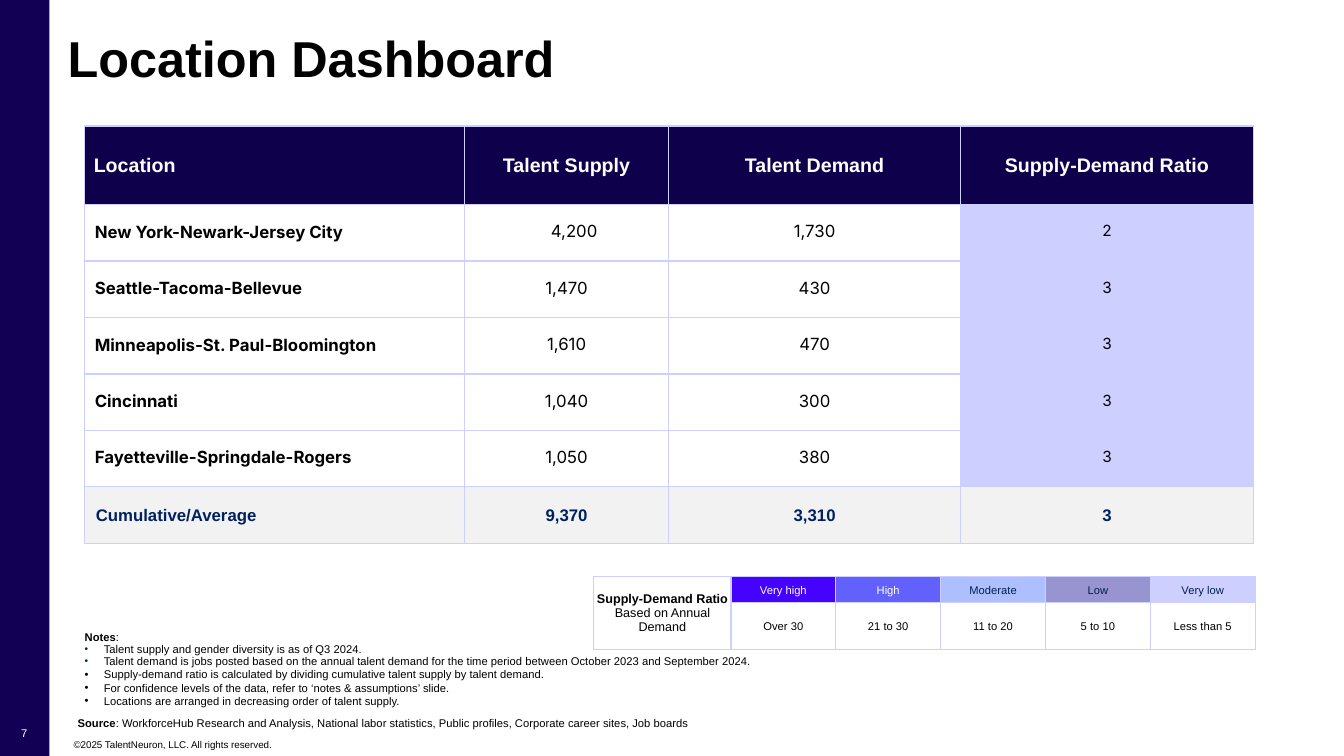
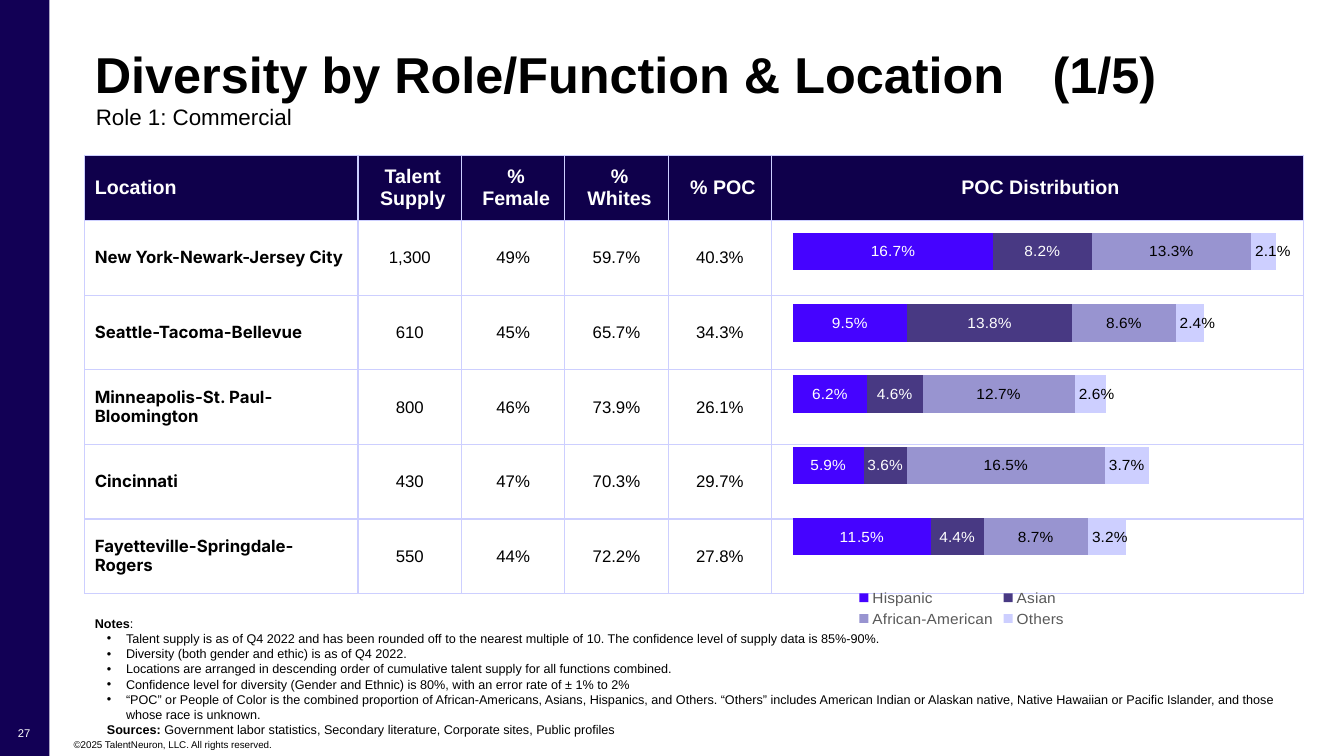
from lxml import etree
from pptx import Presentation
from pptx.chart.data import CategoryChartData
from pptx.dml.color import RGBColor
from pptx.enum.chart import XL_CHART_TYPE, XL_LABEL_POSITION, XL_LEGEND_POSITION
from pptx.enum.shapes import MSO_SHAPE
from pptx.enum.text import MSO_ANCHOR, MSO_AUTO_SIZE, PP_ALIGN
from pptx.oxml.ns import qn
from pptx.util import Emu, Pt

# Shared look
PX = 9144  # 100 px to the inch
BAND, HEADER, GRID = "120055", "0F004B", "CDCFFF"
BLACK, WHITE, NAVY, GREY = "000000", "FFFFFF", "002060", "F2F2F2"
VIVID, LILAC, PLUM = "4503FF", "9894D0", "483983"
LEFT, CENTER, TOP, MIDDLE = PP_ALIGN.LEFT, PP_ALIGN.CENTER, MSO_ANCHOR.TOP, MSO_ANCHOR.MIDDLE
TIGHT, NORMAL = (1, 1, 1, 0), (10, 5, 10, 5)
CITIES = ["New York-Newark-Jersey City", "Seattle-Tacoma-Bellevue",
          "Minneapolis-St. Paul-Bloomington", "Cincinnati",
          "Fayetteville-Springdale-Rogers"]


def px(n):
    return Emu(n * PX)


def rgb(value):
    return RGBColor.from_string(value)


def set_font(font, size, color=BLACK, bold=False, name="Arial"):
    font.name, font.size, font.bold = name, Pt(size), bold
    font.color.rgb = rgb(color)


def sub(parent, tag, **attrs):
    return etree.SubElement(parent, qn(tag), {k: str(v) for k, v in attrs.items()})


# Text
def set_frame(tf, margins=(0, 0, 0, 0), anchor=TOP):
    tf.word_wrap = True
    tf.auto_size = MSO_AUTO_SIZE.NONE
    tf.vertical_anchor = anchor
    tf.margin_left, tf.margin_top, tf.margin_right, tf.margin_bottom = map(px, margins)


def set_indent(p, left=0, hanging=0, bullet=None, color=None):
    pPr = p._p.get_or_add_pPr()
    pPr.set("marL", str(px(left)))
    pPr.set("indent", str(px(-hanging)))
    if color:
        sub(sub(pPr, "a:buClr"), "a:srgbClr", val=color)
        sub(pPr, "a:buSzPct", val=90000)
    if bullet:
        sub(pPr, "a:buChar", char=bullet)
    else:
        sub(pPr, "a:buNone")


def set_para(p, size, color=BLACK, bold=False, align=LEFT, spacing=1.0):
    p.alignment, p.line_spacing = align, spacing
    p.space_before = p.space_after = Pt(0)
    set_font(p.font, size, color, bold)


def add_label(p, label, rest, size):
    """Write a bold label followed by plain text."""
    set_para(p, size)
    for text, bold in ((label, True), (rest, False)):
        r = p.add_run()
        r.text, r.font.bold = text, bold


def place(shape, box):
    shape.left, shape.top, shape.width, shape.height = map(px, box)


def fill_line(shape, box, text, size, margins=(0, 0, 0, 0), bold=False, right_tab=None):
    """Put one line of text in a placeholder."""
    place(shape, box)
    tf = shape.text_frame
    set_frame(tf, margins, MIDDLE)
    p = tf.paragraphs[0]
    p.text = text
    set_indent(p)
    if right_tab:
        sub(sub(p._p.get_or_add_pPr(), "a:tabLst"), "a:tab", pos=px(right_tab), algn="r")
    set_para(p, size, bold=bold, spacing=0.9)


def add_text(s, box, text, size, color=BLACK, align=LEFT, anchor=TOP):
    tb = s.shapes.add_textbox(*map(px, box))
    set_frame(tb.text_frame, anchor=anchor)
    p = tb.text_frame.paragraphs[0]
    p.text = text
    set_para(p, size, color, align=align)


def fill_notes(shape, box, notes, size, left, margins=(0, 0, 0, 0), accented=0):
    """Write the notes; the first accented ones have small coloured bullets."""
    place(shape, box)
    tf = shape.text_frame
    set_frame(tf, margins)
    set_indent(tf.paragraphs[0])
    add_label(tf.paragraphs[0], "Notes", ":", size)
    for i, note in enumerate(notes):
        p = tf.add_paragraph()
        p.text = note
        accent = i < accented
        set_indent(p, left, 19, "•", "002856" if accent else None)
        set_para(p, size, spacing=0.9 if accent else 1.0)
    return tf


# Tables
def add_grid(s, x, y, cols, rows):
    frame = s.shapes.add_table(len(rows), len(cols), px(x), px(y), px(sum(cols)), px(sum(rows)))
    tbl = frame.table
    tbl.first_row = tbl.horz_banding = False
    for col, width in zip(tbl.columns, cols):
        col.width = px(width)
    for row, height in zip(tbl.rows, rows):
        row.height = px(height)
    return tbl


def set_cell(c, text, size=12, color=BLACK, bold=False, name="Arial", align=CENTER,
             fill=WHITE, margins=TIGHT, spacing=None):
    c.text = text
    c.vertical_anchor = MIDDLE
    c.margin_left, c.margin_top, c.margin_right, c.margin_bottom = map(px, margins)
    tcPr = c._tc.get_or_add_tcPr()
    for side in ("a:lnL", "a:lnR", "a:lnT", "a:lnB"):
        ln = sub(tcPr, side, w=Pt(1))
        sub(sub(ln, "a:solidFill"), "a:srgbClr", val=GRID)
    c.fill.solid()
    c.fill.fore_color.rgb = rgb(fill)
    for p in c.text_frame.paragraphs:
        p.alignment = align
        if spacing:
            p.line_spacing = Pt(spacing)
        set_font(p.font, size, color, bold, name)


def set_city(c, city):
    set_cell(c, city, bold=True, name="Inter", align=LEFT, margins=NORMAL, spacing=13.5)


# Slide frame
def add_base(prs, layout, number):
    s = prs.slides.add_slide(prs.slide_layouts[layout])
    band = s.shapes.add_shape(MSO_SHAPE.RECTANGLE, 0, 0, px(49), px(750))
    band.shadow.inherit = False
    band.fill.solid()
    band.fill.fore_color.rgb = rgb(BAND)
    band.line.fill.background()
    add_text(s, (73, 732, 797, 12), "©2025 TalentNeuron, LLC. All rights reserved.", 7,
             anchor=MSO_ANCHOR.BOTTOM)
    add_text(s, (5, 711, 38, 33), number, 8, WHITE, CENTER, MIDDLE)
    return s


# Location dashboard
def add_supply_table(s):
    heads = ["Location", "Talent Supply", "Talent Demand", "Supply-Demand Ratio"]
    data = [("4,200", "1,730", "2"), ("1,470", "430", "3"), ("1,610", "470", "3"),
            ("1,040", "300", "3"), ("1,050", "380", "3")]
    total = ["Cumulative/Average", "9,370", "3,310", "3"]
    tbl = add_grid(s, 84, 125, [377, 202, 290, 290], [78] + [56] * 6)
    for j, (head, value) in enumerate(zip(heads, total)):
        align = CENTER if j else LEFT
        set_cell(tbl.cell(0, j), head, 14, WHITE, True, align=align, fill=HEADER,
                 margins=TIGHT if j else (9, 1, 1, 0))
        set_cell(tbl.cell(6, j), value, 12, NAVY, True, align=align, fill=GREY,
                 margins=TIGHT if j else (11, 1, 1, 0))
    for i, (city, (supply, demand, ratio)) in enumerate(zip(CITIES, data), 1):
        set_city(tbl.cell(i, 0), city)
        set_cell(tbl.cell(i, 1), supply, name="Inter", spacing=12.8,
                 margins=(25, 5, 10, 5) if i == 1 else NORMAL)
        set_cell(tbl.cell(i, 2), demand, name="Inter", margins=NORMAL, spacing=12.8)
        set_cell(tbl.cell(i, 3), ratio, 11, name="Inter", fill=GRID, margins=NORMAL,
                 spacing=11.2)


def add_ratio_key(s):
    levels = [("Very high", "Over 30", VIVID, WHITE), ("High", "21 to 30", "6361FE", WHITE),
              ("Moderate", "11 to 20", "ADBFFF", "002050"),
              ("Low", "5 to 10", LILAC, "002050"), ("Very low", "Less than 5", GRID, "002050")]
    tbl = add_grid(s, 589, 572, [136] + [104] * 5, [26, 46])
    set_cell(tbl.cell(1, 0), "", 8)
    title = tbl.cell(0, 0)
    title.merge(tbl.cell(1, 0))
    set_cell(title, "Supply-Demand Ratio\nBased on Annual Demand", 9)
    title.text_frame.paragraphs[0].font.bold = True
    for j, (level, span, fill, color) in enumerate(levels, 1):
        set_cell(tbl.cell(0, j), level, 8, color, fill=fill)
        set_cell(tbl.cell(1, j), span, 8)


def build_dashboard(prs):
    s = add_base(prs, 1, "7")
    title, body = s.placeholders
    fill_line(title, (67, 40, 1201, 42), "Location Dashboard", 36, bold=True)
    fill_notes(body, (84, 625, 1195, 85), [
        "Talent supply and gender diversity is as of Q3 2024.",
        "Talent demand is jobs posted based on the annual talent demand for the time period "
        "between October 2023 and September 2024.",
        "Supply-demand ratio is calculated by dividing cumulative talent supply by talent demand.",
        "For confidence levels of the data, refer to ‘notes & assumptions’ slide.",
        "Locations are arranged in decreasing order of talent supply.",
    ], 8, 19, accented=2)
    add_supply_table(s)
    tb = s.shapes.add_textbox(*map(px, (77, 712, 1024, 16)))
    set_frame(tb.text_frame)
    p = tb.text_frame.paragraphs[0]
    add_label(p, "Source", ": WorkforceHub Research and Analysis, National labor statistics, "
              "Public profiles, Corporate career sites, Job boards", 8)
    p.line_spacing = 0.9
    add_ratio_key(s)


# Diversity by role
def add_diversity_table(s):
    heads = ["Location", "Talent Supply", "% Female", "% Whites", "% POC", "POC Distribution"]
    data = [("1,300", "49%", "59.7%", "40.3%"), ("610", "45%", "65.7%", "34.3%"),
            ("800", "46%", "73.9%", "26.1%"), ("430", "47%", "70.3%", "29.7%"),
            ("550", "44%", "72.2%", "27.8%")]
    tbl = add_grid(s, 84, 154, [271, 103, 102, 103, 102, 528], [65] + [74] * 5)
    for j, head in enumerate(heads):
        set_cell(tbl.cell(0, j), head, 14, WHITE, True, align=CENTER if j else LEFT,
                 fill=HEADER, margins=(16 if j else 10, 10, 10, 10))
    for i, (city, values) in enumerate(zip(CITIES, data), 1):
        set_city(tbl.cell(i, 0), city)
        for j, value in enumerate(values + ("",), 1):
            set_cell(tbl.cell(i, j), value, margins=(0, 0, 0, 0))


def set_layout(parent, index, **values):
    """Give a chart part a fixed place, in fractions of the chart."""
    for old in parent.findall(qn("c:layout")):
        parent.remove(old)
    layout = etree.Element(qn("c:layout"))
    manual = sub(layout, "c:manualLayout")
    for tag, value in values.items():
        sub(manual, "c:" + tag, val=value)
    parent.insert(index, layout)


def add_poc_chart(s):
    series = [
        ("Hispanic", (0.115, 0.059, 0.062, 0.095, 0.167), VIVID, WHITE),
        ("Asian", (0.044, 0.036, 0.046, 0.138, 0.082), PLUM, WHITE),
        ("African-American", (0.087, 0.165, 0.127, 0.086, 0.133), LILAC, BLACK),
        ("Others", (0.032, 0.037, 0.026, 0.024, 0.021), GRID, BLACK)]
    cd = CategoryChartData(number_format="0.0%")
    cd.categories = ["1", "2", "3", "4", "5"]
    for name, values, *_ in series:
        cd.add_series(name, values)
    box = map(px, (781, 180, 552, 446))
    chart = s.shapes.add_chart(XL_CHART_TYPE.BAR_STACKED, *box, cd).chart
    set_font(chart.font, 10)
    chart.has_title = False
    chart.category_axis.visible = chart.value_axis.visible = False
    chart.value_axis.has_major_gridlines = False
    chart.value_axis.minimum_scale, chart.value_axis.maximum_scale = 0, 0.45
    plot = chart.plots[0]
    plot.gap_width, plot.overlap, plot.vary_by_categories = 90, 100, False
    for ser, (name, _, fill, color) in zip(plot.series, series):
        ser.format.fill.solid()
        ser.format.fill.fore_color.rgb = rgb(fill)
        labels = ser.data_labels
        labels.show_value = True
        labels.number_format, labels.number_format_is_linked = "0.0%", False
        labels.position = (XL_LABEL_POSITION.INSIDE_BASE if name == "Others"
                           else XL_LABEL_POSITION.CENTER)
        set_font(labels.font, 11, color)
    chart.has_legend = True
    legend = chart.legend
    legend.position, legend.include_in_layout = XL_LEGEND_POSITION.BOTTOM, False
    set_font(legend.font, 11, "595959")
    set_layout(legend._element, 1, xMode="edge", yMode="edge", x=0.12, y=0.94)
    set_layout(chart._chartSpace.chart.plotArea, 0, layoutTarget="inner", xMode="edge",
               yMode="edge", x=0.01, y=0.08, w=0.97, h=0.83)


def build_diversity(prs):
    s = add_base(prs, 3, "27")
    title, role, body = s.placeholders
    fill_line(title, (84, 41, 1219, 71), "Diversity by Role/Function & Location\t(1/5)", 36,
              NORMAL, True, right_tab=1184)
    fill_line(role, (85, 99, 1209, 37), "Role 1: Commercial", 16, NORMAL)
    tf = fill_notes(body, (84, 611, 1209, 121), [
        "Talent supply is as of Q4 2022 and has been rounded off to the nearest multiple of 10. "
        "The confidence level of supply data is 85%-90%.",
        "Diversity (both gender and ethic) is as of Q4 2022.",
        "Locations are arranged in descending order of cumulative talent supply for all "
        "functions combined.",
        "Confidence level for diversity (Gender and Ethnic) is 80%, with an error rate of "
        "± 1% to 2%",
        "“POC” or People of Color is the combined proportion of African-Americans, Asians, "
        "Hispanics, and Others. “Others” includes American Indian or Alaskan native, Native "
        "Hawaiian or Pacific Islander, and those whose race is unknown.",
    ], 9, 31, margins=(10, 0, 10, 0))
    p = tf.add_paragraph()
    set_indent(p, 12)
    add_label(p, "Sources: ", "Government labor statistics, Secondary literature, "
              "Corporate sites, Public profiles", 9)
    add_diversity_table(s)
    add_poc_chart(s)


def main():
    prs = Presentation()
    prs.slide_width, prs.slide_height = px(1333), px(750)
    build_dashboard(prs)
    build_diversity(prs)
    prs.save("out.pptx")


if __name__ == "__main__":
    main()
